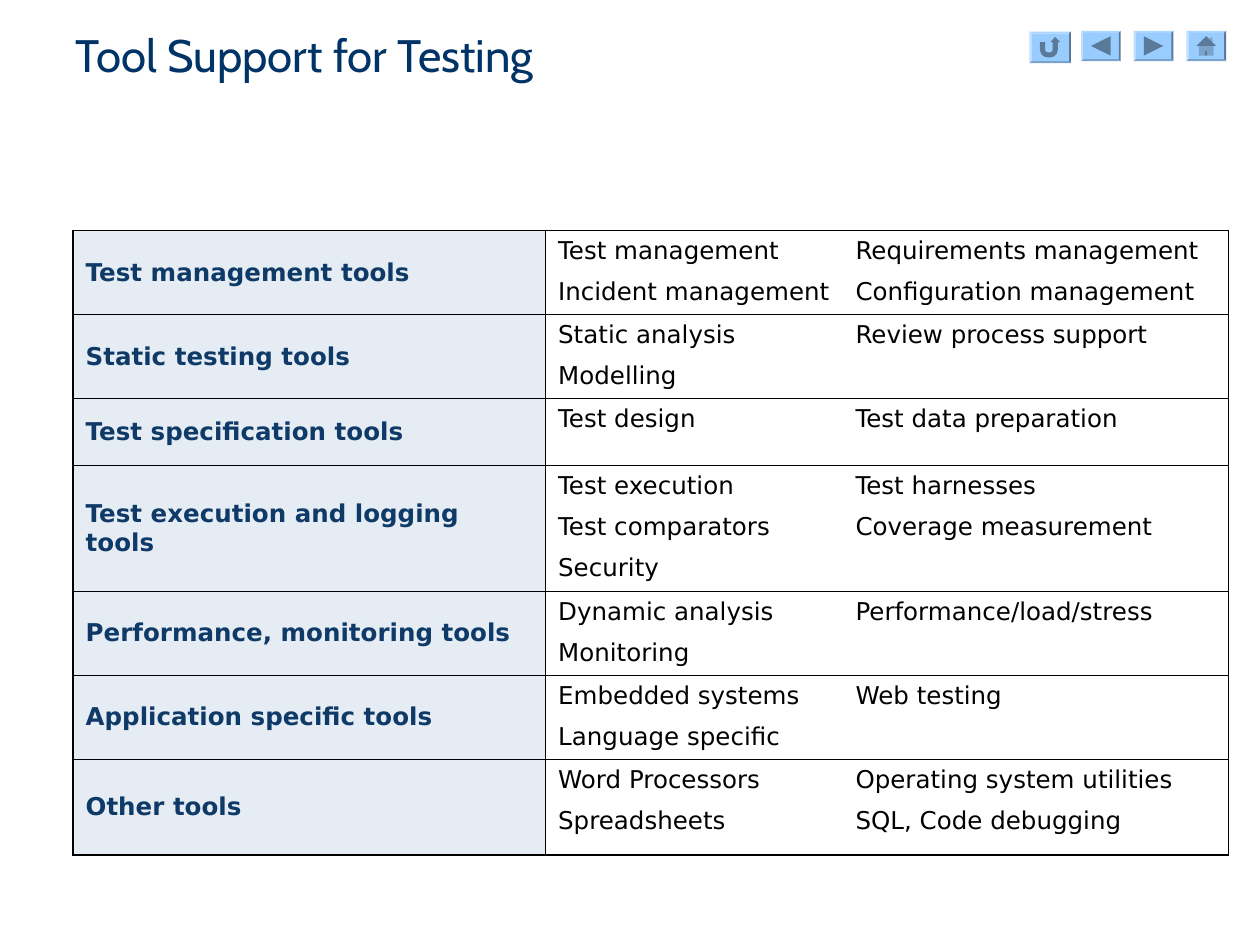
from lxml import etree
from pptx import Presentation
from pptx.dml.color import RGBColor
from pptx.enum.shapes import MSO_SHAPE
from pptx.enum.text import MSO_ANCHOR
from pptx.oxml.ns import qn
from pptx.util import Inches, Pt

BEVEL = MSO_SHAPE.BEVEL
RETURN = MSO_SHAPE.ACTION_BUTTON_RETURN
BACK = MSO_SHAPE.ACTION_BUTTON_BACK_OR_PREVIOUS
FORWARD = MSO_SHAPE.ACTION_BUTTON_FORWARD_OR_NEXT
HOME = MSO_SHAPE.ACTION_BUTTON_HOME
MIDDLE = MSO_ANCHOR.MIDDLE
TOP = MSO_ANCHOR.TOP

GRID_COLUMNS, GRID_ROWS = 100, 75
THIN, THICK = 0.45, 1.08
CATEGORY_COLUMN = 0

TOOLS = [
    ("Test management tools",
     ["Test management", "Incident management"],
     ["Requirements management", "Configuration management"]),
    ("Static testing tools",
     ["Static analysis", "Modelling"],
     ["Review process support"]),
    ("Test specification tools",
     ["Test design"],
     ["Test data preparation"]),
    ("Test execution and logging tools",
     ["Test execution", "Test comparators", "Security"],
     ["Test harnesses", "Coverage measurement"]),
    ("Performance, monitoring tools",
     ["Dynamic analysis", "Monitoring"],
     ["Performance/load/stress"]),
    ("Application specific tools",
     ["Embedded systems", "Language specific"],
     ["Web testing"]),
    ("Other tools",
     ["Word Processors", "Spreadsheets"],
     ["Operating system utilities", "SQL, Code debugging"]),
]
COLUMN_WIDTHS = [37.5, 23.6, 30.6]
TWO_LINES = 20 / 3
ROW_HEIGHTS = [TWO_LINES, TWO_LINES, 5.3, 10, TWO_LINES, TWO_LINES, 7.6]


def color(value):
    return RGBColor.from_string(value)


class SlideBuilder:
    title_font = "Cabin"
    body_font = "DejaVu Sans"
    title_color = "003366"
    category_color = "0F3A68"
    category_fill = "E5ECF3"
    button_fill = "99CCFF"
    ink = "000000"
    paper = "FFFFFF"

    def __init__(self, deck):
        self.column = deck.slide_width / GRID_COLUMNS
        self.row = deck.slide_height / GRID_ROWS
        self.page = deck.slides.add_slide(deck.slide_layouts[6])

    def place(self, left, top, width, height):
        return (round(left * self.column), round(top * self.row),
                round(width * self.column), round(height * self.row))

    def add_text(self, frame, lines, font, size, ink, bold=False):
        frame.word_wrap = True
        for index, line in enumerate(lines):
            para = frame.add_paragraph() if index else frame.paragraphs[0]
            if index:
                para.space_before = Pt(7)
            span = para.add_run()
            span.text = line
            span.font.name = font
            span.font.size = Pt(size)
            span.font.bold = bold
            span.font.color.rgb = color(ink)

    def title(self, text, *area):
        box = self.page.shapes.add_textbox(*self.place(*area))
        box.text_frame.vertical_anchor = MIDDLE
        self.add_text(box.text_frame, [text], self.title_font, 26, self.title_color)

    def shape(self, kind, *area):
        shape = self.page.shapes.add_shape(kind, *self.place(*area))
        shape.shadow.inherit = False
        shape.fill.solid()
        shape.fill.fore_color.rgb = color(self.button_fill)
        shape.line.fill.background()
        return shape

    def button(self, kind, left, top, width, height):
        edge = 0.17
        frame = self.shape(BEVEL, left, top, width, height)
        frame.adjustments[0] = edge / height
        self.shape(kind, left + edge, top + edge, width - 2 * edge, height - 2 * edge)

    def border(self, cell, side, width):
        properties = cell._tc.get_or_add_tcPr()
        line = etree.SubElement(properties, qn("a:ln" + side))
        if not width:
            etree.SubElement(line, qn("a:noFill"))
            return
        line.set("w", str(Pt(width)))
        fill = etree.SubElement(line, qn("a:solidFill"))
        etree.SubElement(fill, qn("a:srgbClr")).set("val", self.ink)

    def cell(self, cell, lines, is_category, borders):
        for side, width in borders.items():
            self.border(cell, side, width)
        cell.fill.solid()
        cell.fill.fore_color.rgb = color(self.category_fill if is_category else self.paper)
        cell.vertical_anchor = MIDDLE if is_category else TOP
        ink = self.category_color if is_category else self.ink
        self.add_text(cell.text_frame, lines, self.body_font, 14, ink, is_category)

    def table(self, rows, left, top):
        area = self.place(left, top, sum(COLUMN_WIDTHS), sum(ROW_HEIGHTS))
        table = self.page.shapes.add_table(len(rows), len(COLUMN_WIDTHS), *area).table
        table.first_row = False
        table.horz_banding = False
        for column, width in zip(table.columns, COLUMN_WIDTHS):
            column.width = round(width * self.column)
        for row, height in zip(table.rows, ROW_HEIGHTS):
            row.height = round(height * self.row)
        last_row = len(rows) - 1
        for r, (category, *examples) in enumerate(rows):
            for c, lines in enumerate([[category], *examples]):
                borders = {
                    "L": [THICK, THIN, None][c],
                    "R": [THIN, None, THICK][c],
                    "T": THICK if r == 0 else THIN,
                    "B": THICK if r == last_row else THIN,
                }
                self.cell(table.cell(r, c), lines, c == CATEGORY_COLUMN, borders)


def main():
    deck = Presentation()
    deck.slide_width, deck.slide_height = Inches(10), Inches(7.5)
    builder = SlideBuilder(deck)
    for index, kind in enumerate([BACK, FORWARD, HOME]):
        builder.button(kind, 85.8 + 4.18 * index, 2.45, 3.15, 2.4)
    builder.title("Tool Support for Testing", 5, 1.2, 95, 6.2)
    builder.table(TOOLS, 5.8, 18.3)
    builder.button(RETURN, 81.7, 2.5, 3.3, 2.5)
    deck.save("out.pptx")


if __name__ == "__main__":
    main()
